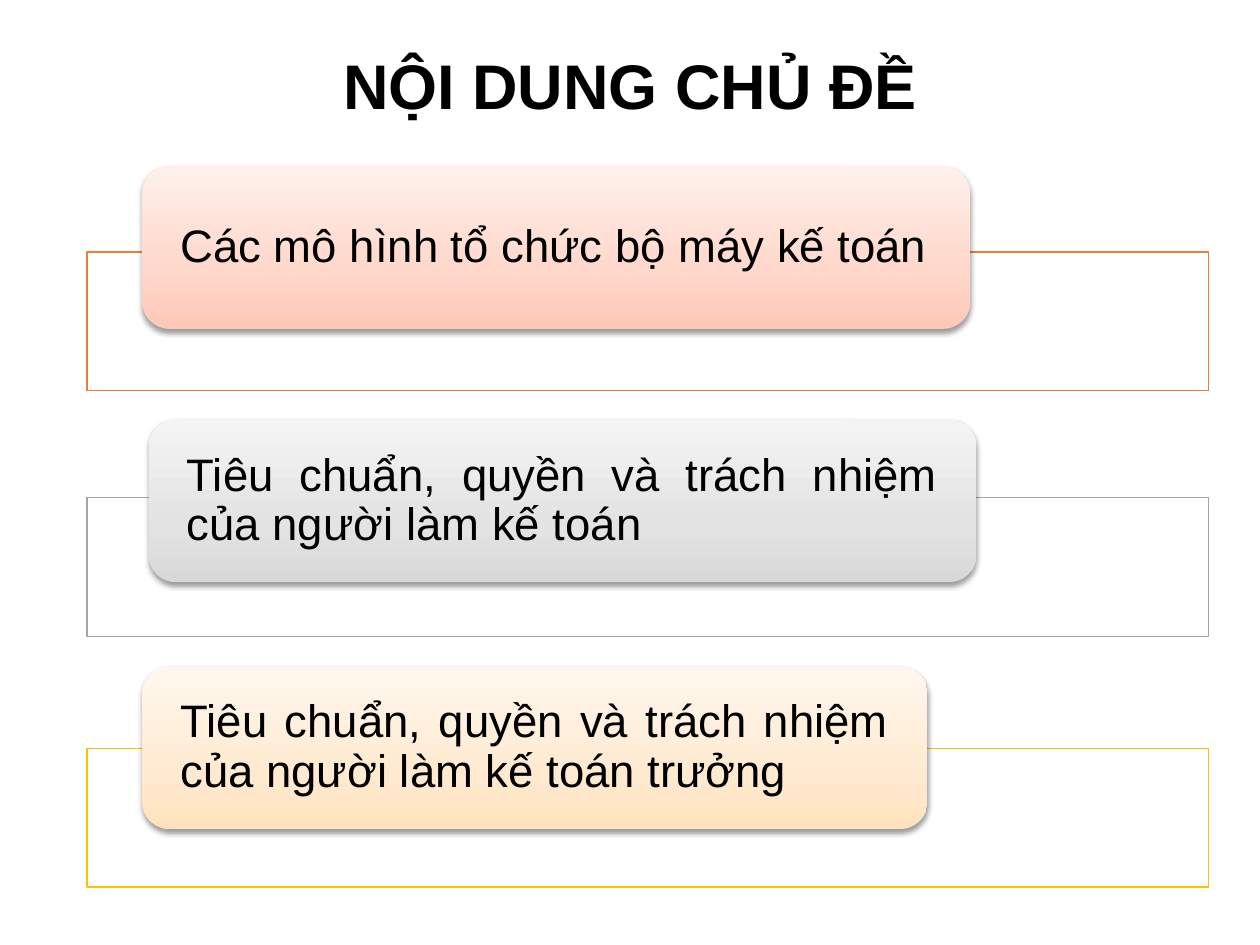
from copy import deepcopy

from lxml import etree
from pptx import Presentation
from pptx.dml.color import RGBColor
from pptx.enum.shapes import MSO_SHAPE
from pptx.enum.text import MSO_ANCHOR, PP_ALIGN
from pptx.oxml.ns import qn
from pptx.util import Inches, Pt

RECT, ROUND = MSO_SHAPE.RECTANGLE, MSO_SHAPE.ROUNDED_RECTANGLE
MIDDLE = MSO_ANCHOR.MIDDLE
CENTER, JUSTIFY = PP_ALIGN.CENTER, PP_ALIGN.JUSTIFY

# text, frame top, frame line, card left, top and width, card colours from the bottom up
TOPICS = [
    ("Các mô hình tổ chức bộ máy kế toán",
     2, "ED7D31", 1.13, 1.32, 6.57, ("FFC7B6", "FFD7CB", "FFF0EB")),
    ("Tiêu chuẩn, quyền và trách nhiệm của người làm kế toán",
     3.95, "A5A5A5", 1.18, 3.33, 6.57, ("D8D8D8", "E3E3E3", "F4F4F4")),
    ("Tiêu chuẩn, quyền và trách nhiệm của người làm kế toán trưởng",
     5.94, "FFC000", 1.13, 5.29, 6.23, ("FFE2BD", "FFEAD1", "FFF7EE")),
]


def color(code):
    return RGBColor.from_string(code)


def write(shape, text, size, align, bold=False, side=0.1, edge=0.05):
    frame = shape.text_frame
    frame.word_wrap = True
    frame.vertical_anchor = MIDDLE
    frame.margin_left = frame.margin_right = Inches(side)
    frame.margin_top = frame.margin_bottom = Inches(edge)
    para = frame.paragraphs[0]
    para.alignment = align
    para.line_spacing = 0.9
    run = para.add_run()
    run.text = text
    run.font.name = "Arial"
    run.font.size = Pt(size)
    run.font.bold = bold
    run.font.color.rgb = color("000000")


def add_box(slide, kind, left, top, width, height):
    box = slide.shapes.add_shape(
        kind, Inches(left), Inches(top), Inches(width), Inches(height))
    box.shadow.inherit = False
    return box


def shade(shape, codes):
    """Fill with three stops, the first at the bottom."""
    shape.fill.gradient()
    shape.fill.gradient_angle = 90
    stops = shape._element.spPr.find(qn("a:gradFill")).find(qn("a:gsLst"))
    stops.append(deepcopy(stops[0]))
    for stop, place, code in zip(shape.fill.gradient_stops, (0, 0.35, 1), codes):
        stop.position = place
        stop.color.rgb = color(code)


def add_alpha(parent, percent):
    etree.SubElement(parent, qn("a:alpha"), val=str(percent * 1000))


def drop_shadow(shape):
    effects = shape._element.spPr.find(qn("a:effectLst"))
    outer = etree.SubElement(
        effects, qn("a:outerShdw"), blurRad=str(Pt(3.1)), dist=str(Pt(1.6)),
        dir="5400000", rotWithShape="0")
    add_alpha(etree.SubElement(outer, qn("a:srgbClr"), val="000000"), 38)


def add_frame(slide, top, line):
    frame = add_box(slide, RECT, 0.69, top, 8.9, 1.1)
    frame.fill.solid()
    frame.fill.fore_color.rgb = color("FFFFFF")
    add_alpha(frame._element.spPr.find(qn("a:solidFill"))[0], 90)
    frame.line.color.rgb = color(line)
    frame.line.width = Pt(0.75)


def add_card(slide, text, left, top, width, codes):
    card = add_box(slide, ROUND, left, top, width, 1.29)
    shade(card, codes)
    card.line.fill.background()
    drop_shadow(card)
    write(card, text, 26, JUSTIFY, side=0.24, edge=0)


def main():
    deck = Presentation()
    deck.slide_width, deck.slide_height = Inches(10), Inches(7.5)
    slide = deck.slides.add_slide(deck.slide_layouts[6])
    title = slide.shapes.add_textbox(
        Inches(0.69), Inches(0.15), Inches(8.62), Inches(1.11))
    write(title, "NỘI DUNG CHỦ ĐỀ", 36, CENTER, bold=True)
    for text, base, line, left, top, width, codes in TOPICS:
        add_frame(slide, base, line)
        add_card(slide, text, left, top, width, codes)
    deck.save("out.pptx")


if __name__ == "__main__":
    main()
